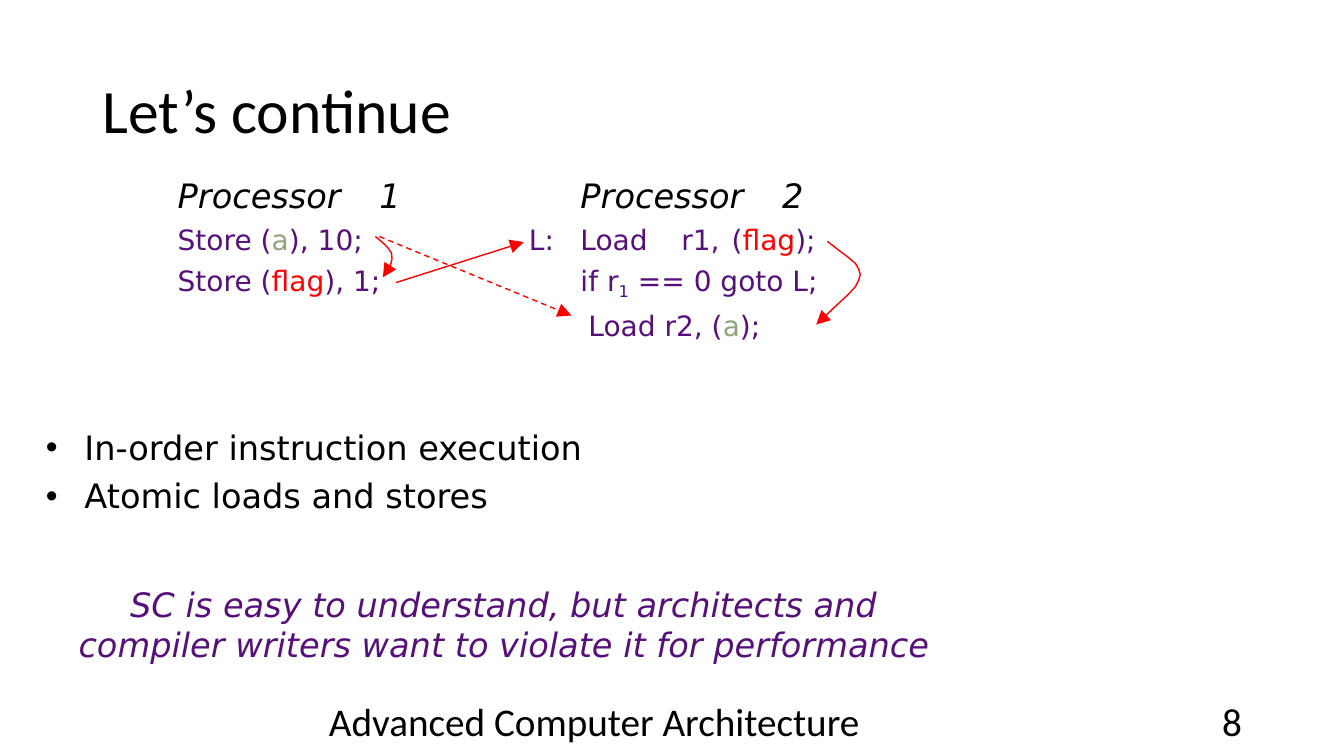
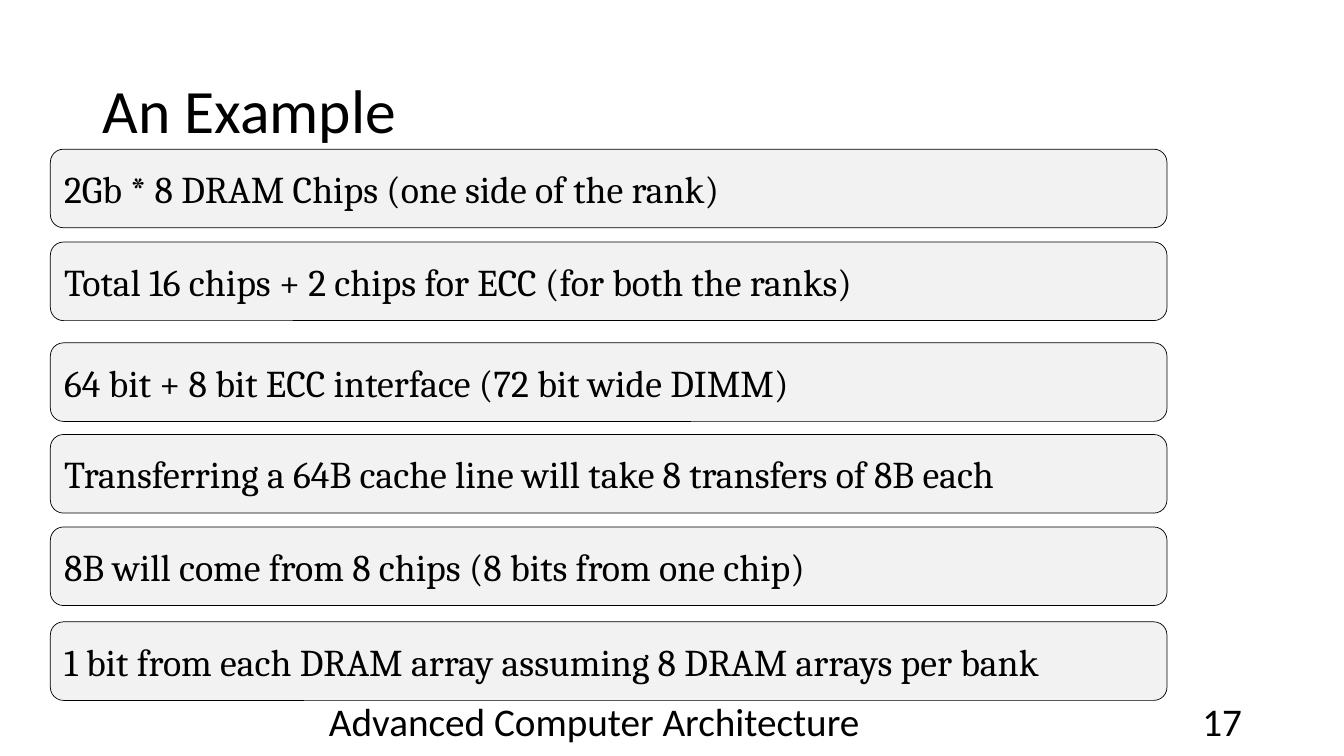
from lxml import etree
from pptx import Presentation
from pptx.dml.color import RGBColor
from pptx.enum import dml, shapes, text
from pptx.oxml import ns
from pptx.util import Cm, Pt

COLORS = {
    "ink": "000000",
    "code": "551179",
    "data": "90A57B",
    "flag": "FF0000",
    "arrow": "FF0000",
    "bar": "F2F2F2",
}
HEADING_FONT, BODY_FONT, BAR_FONT = "Calibri", "DejaVu Sans", "Cambria"
COURSE = "Advanced Computer Architecture"

STORES = [
    [("Store (", None), ("a", "data"), ("), 10;", None)],
    [("Store (", None), ("flag", "flag"), ("), 1;", None)],
]
LOADS = [
    [("L:\tLoad\tr1,\t(", None), ("flag", "flag"), (");", None)],
    [("if r", None), ("1", "sub"), (" == 0 goto L;", None)],
    [("Load r2, (", None), ("a", "data"), (");", None)],
]
DRAM_FACTS = [
    (3.76, "2Gb * 8 DRAM Chips (one side of the rank)"),
    (6.1, "Total 16 chips + 2 chips for ECC (for both the ranks)"),
    (8.64, "64 bit + 8 bit ECC interface (72 bit wide DIMM)"),
    (10.95, "Transferring a 64B cache line will take 8 transfers of 8B each"),
    (13.28, "8B will come from 8 chips (8 bits from one chip)"),
    (15.67, "1 bit from each DRAM array assuming 8 DRAM arrays per bank"),
]


def rgb(name):
    return RGBColor.from_string(COLORS[name])


def add_child(parent, tag, **attributes):
    child = etree.SubElement(parent, ns.qn(tag))
    for key, value in attributes.items():
        child.set(key, str(value))
    return child


def style(paragraph, face, size, color="ink", italic=False):
    font = paragraph.font
    font.name, font.size, font.italic = face, Pt(size), italic
    font.color.rgb = rgb(color)


def indent(paragraph, left, first=0, bullet=None, tabs=()):
    """Set margins, bullet and tab stops, in centimetres."""
    props = paragraph._p.get_or_add_pPr()
    props.set("marL", str(Cm(left)))
    props.set("indent", str(Cm(first)))
    if bullet:
        add_child(props, "a:buFont", typeface="Arial")
        add_child(props, "a:buChar", char=bullet)
    if tabs:
        stops = add_child(props, "a:tabLst")
        for stop in tabs:
            add_child(stops, "a:tab", pos=Cm(stop), algn="l")


def add_frame(slide, left, top, width, height, inset=True):
    frame = slide.shapes.add_textbox(Cm(left), Cm(top), Cm(width), Cm(height)).text_frame
    frame.word_wrap = True
    if not inset:
        frame.margin_left = frame.margin_right = 0
        frame.margin_top = frame.margin_bottom = 0
    return frame


def add_heading(slide, box, words, size, align=text.PP_ALIGN.LEFT):
    frame = add_frame(slide, *box)
    frame.vertical_anchor = text.MSO_ANCHOR.MIDDLE
    paragraph = frame.paragraphs[0]
    paragraph.text = words
    paragraph.alignment = align
    style(paragraph, HEADING_FONT, size)
    return paragraph


def add_course_slide(deck, title, number):
    """Add a slide with the shared title, footer and slide number."""
    slide = deck.slides.add_slide(deck.slide_layouts[6])
    add_heading(slide, (2.34, 1.02, 29.21, 3.68), title, 44).line_spacing = 0.9
    add_heading(slide, (7.29, 17.65, 15.37, 1.02), COURSE, 28, text.PP_ALIGN.CENTER)
    add_heading(slide, (23.93, 17.65, 7.62, 1.02), str(number), 28, text.PP_ALIGN.RIGHT)
    return slide


def add_program(slide, box, name, lines, margins, name_tab, label_tabs=()):
    """Add a processor's name and its code; margins holds (left, first) per line."""
    frame = add_frame(slide, *box, inset=False)
    heading = frame.paragraphs[0]
    heading.text = name
    indent(heading, margins[0][0], tabs=[name_tab])
    style(heading, BODY_FONT, 24, italic=True)
    for line, (left, first) in zip(lines, margins):
        paragraph = frame.add_paragraph()
        indent(paragraph, left, first, tabs=label_tabs if first else ())
        paragraph.space_before = Pt(5.5)
        style(paragraph, BODY_FONT, 20, "code")
        for words, role in line:
            run = paragraph.add_run()
            run.text = words
            if role == "sub":
                run._r.get_or_add_rPr().set("baseline", "-21000")
            elif role:
                run.font.color.rgb = rgb(role)


def finish_arrow(arrow, dashed=False):
    arrow.line.color.rgb = rgb("arrow")
    arrow.line.width = Pt(1)
    if dashed:
        arrow.line.dash_style = dml.MSO_LINE.DASH
    props = arrow.element.spPr
    add_child(props.find(ns.qn("a:ln")), "a:tailEnd", type="triangle", w="lg", len="lg")
    add_child(props, "a:effectLst")


def add_straight_arrow(slide, start, end, dashed=False):
    ends = [Cm(value) for value in (*start, *end)]
    finish_arrow(slide.shapes.add_connector(shapes.MSO_CONNECTOR.STRAIGHT, *ends), dashed)


def add_curved_arrow(slide, points):
    start, *rest = [(Cm(x), Cm(y)) for x, y in points]
    builder = slide.shapes.build_freeform(*start)
    builder.add_line_segments(rest, close=False)
    curve = builder.convert_to_shape()
    curve.fill.background()
    finish_arrow(curve)


def add_conclusions(slide):
    frame = add_frame(slide, 1.14, 10.75, 23.4, 6.1, inset=False)
    for place, words in enumerate(("In-order instruction execution", "Atomic loads and stores")):
        point = frame.add_paragraph() if place else frame.paragraphs[0]
        point.text = words
        indent(point, 0.99, -0.97, bullet="•")
        if place:
            point.space_before = Pt(6)
        style(point, BODY_FONT, 24)
    remark = frame.add_paragraph()
    remark.text = ("SC is easy to understand, but architects and "
                   "compiler writers want to violate it for performance")
    indent(remark, 0.84, 1.3)
    remark.space_before = Pt(48.5)
    style(remark, BODY_FONT, 24, "code", italic=True)


def add_bar(slide, top, words):
    bar = slide.shapes.add_shape(shapes.MSO_SHAPE.ROUNDED_RECTANGLE,
                                 Cm(1.27), Cm(top), Cm(28.14), Cm(1.98))
    bar.shadow.inherit = False
    bar.fill.solid()
    bar.fill.fore_color.rgb = rgb("bar")
    bar.line.color.rgb = rgb("ink")
    bar.line.width = Pt(0.5)
    bar.text_frame.vertical_anchor = text.MSO_ANCHOR.MIDDLE
    paragraph = bar.text_frame.paragraphs[0]
    paragraph.text = words
    paragraph.alignment = text.PP_ALIGN.LEFT
    style(paragraph, BAR_FONT, 27)


def build_consistency_slide(deck):
    slide = add_course_slide(deck, "Let’s continue", 8)
    add_conclusions(slide)
    add_program(slide, (4.45, 4.4, 5.7, 3.1), "Processor\t1", STORES,
                [(0.03, 0)] * 2, 4.72)
    add_program(slide, (13.23, 4.4, 8.2, 4.2), "Processor\t2", LOADS,
                [(1.4, -1.3), (1.4, 0), (1.6, 0)], 6.25, (1.4, 3.5, 4.95))
    add_curved_arrow(slide, [(9.46, 5.96), (9.65, 6.12), (9.78, 6.25), (9.87, 6.38),
                             (9.88, 6.53), (9.83, 6.72), (9.65, 6.99)])
    add_curved_arrow(slide, [(20.85, 6.08), (21.13, 6.3), (21.37, 6.48), (21.56, 6.64),
                             (21.64, 6.78), (21.68, 6.92), (21.64, 7.06), (21.56, 7.22),
                             (21.4, 7.4), (21.13, 7.65), (20.57, 8.18)])
    add_straight_arrow(slide, (9.98, 7.12), (13.2, 6.1))
    add_straight_arrow(slide, (9.56, 5.96), (14.4, 7.95), dashed=True)


def build_dram_slide(deck):
    slide = add_course_slide(deck, "An Example", 17)
    for top, fact in DRAM_FACTS:
        add_bar(slide, top, fact)


def main():
    deck = Presentation()
    deck.slide_width, deck.slide_height = Cm(33.87), Cm(19.05)
    build_consistency_slide(deck)
    build_dram_slide(deck)
    deck.save("out.pptx")


if __name__ == "__main__":
    main()
